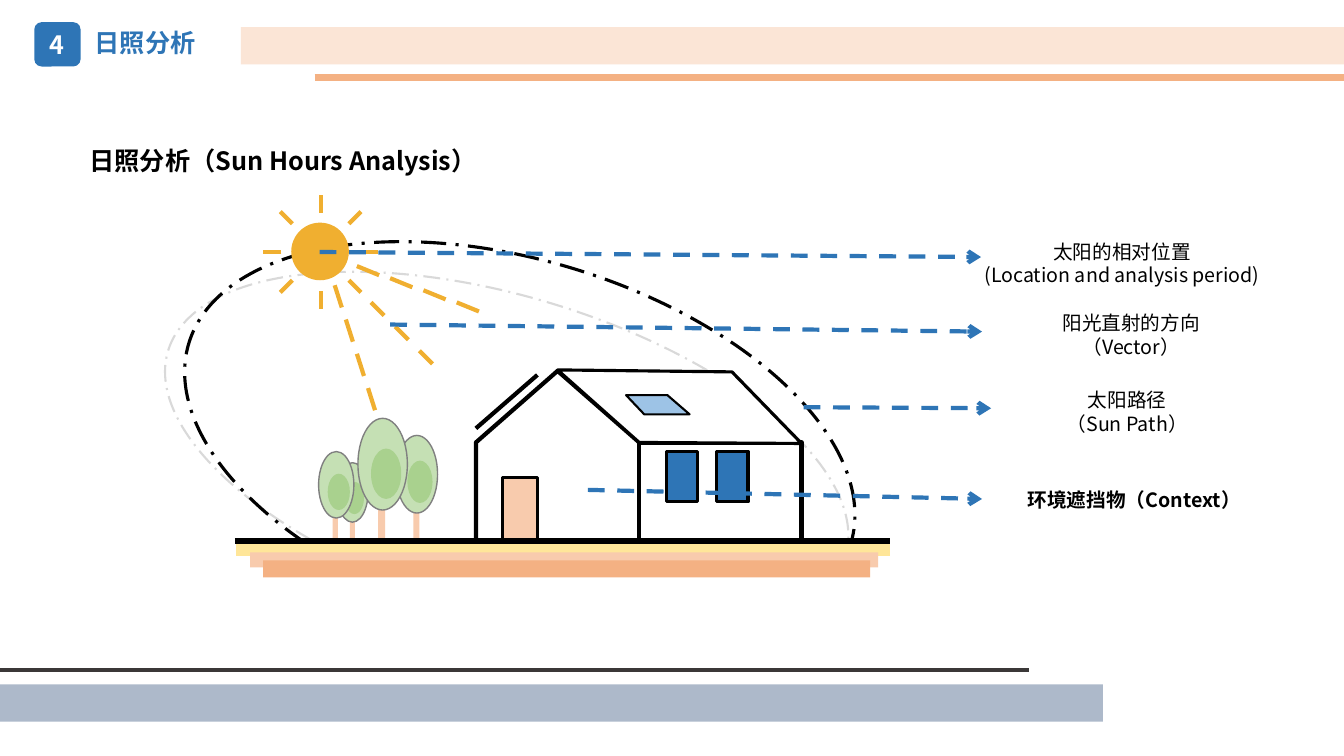
import math

from lxml import etree
from pptx import Presentation
from pptx.dml.color import RGBColor
from pptx.enum.dml import MSO_LINE
from pptx.enum.shapes import MSO_CONNECTOR, MSO_SHAPE
from pptx.enum.text import MSO_ANCHOR, MSO_AUTO_SIZE, PP_ALIGN
from pptx.oxml.ns import qn
from pptx.util import Pt

PX = 9144  # EMU per px, 100 px to the inch
SLIDE_W, SLIDE_H = 1333, 750
FONT = "Noto Sans CJK SC"
COLORS = {
    "white": "FFFFFF", "black": "000000", "blue": "2E75B6", "sky": "9DC3E6",
    "slate": "ADB9CA", "charcoal": "3B3838", "gray": "808080", "silver": "D9D9D9",
    "blush": "FBE5D6", "peach": "F8CBAD", "orange": "F4B183", "cream": "FFE699",
    "sun": "F0AF30", "leaf": "C5E0B4", "leaf_core": "A9D18E",
}
RECT, ROUNDED = MSO_SHAPE.RECTANGLE, MSO_SHAPE.ROUNDED_RECTANGLE
OVAL, CAN, CHORD = MSO_SHAPE.OVAL, MSO_SHAPE.CAN, MSO_SHAPE.CHORD
STRAIGHT = MSO_CONNECTOR.STRAIGHT
DASH, LONG_DASH_DOT = MSO_LINE.DASH, MSO_LINE.LONG_DASH_DOT
LEFT, CENTER = PP_ALIGN.LEFT, PP_ALIGN.CENTER
TOP, MIDDLE = MSO_ANCHOR.TOP, MSO_ANCHOR.MIDDLE
NO_AUTOFIT = MSO_AUTO_SIZE.NONE


def rgb(color):
    return RGBColor.from_string(COLORS[color])


def emu(*lengths):
    return [round(length * PX) for length in lengths]


def stroke(line, color, weight, dash=None):
    line.color.rgb = rgb(color)
    line.width = Pt(weight)
    if dash:
        line.dash_style = dash


def paint(shape, fill, line=None):
    """Set fill and outline; line is (color, weight[, dash])."""
    shape.shadow.inherit = False
    if fill:
        shape.fill.solid()
        shape.fill.fore_color.rgb = rgb(fill)
    else:
        shape.fill.background()
    if line:
        stroke(shape.line, *line)
    else:
        shape.line.fill.background()


def add_preset(slide, kind, box, fill, line=None):
    shape = slide.shapes.add_shape(kind, *emu(*box))
    paint(shape, fill, line)
    return shape


def add_outline(slide, points, fill, line):
    builder = slide.shapes.build_freeform(*points[0], scale=PX)
    builder.add_line_segments(points[1:], close=True)
    paint(builder.convert_to_shape(), fill, line)


def add_line(slide, start, end, color, weight, dash=None, arrow=False):
    connector = slide.shapes.add_connector(STRAIGHT, *emu(*start, *end))
    stroke(connector.line, color, weight, dash)
    properties = connector._element.spPr
    etree.SubElement(properties, qn("a:effectLst"))
    if arrow:
        etree.SubElement(properties.find(qn("a:ln")), qn("a:tailEnd"), type="arrow")


def write(shape, lines, size, color="black", bold=False, align=CENTER,
          anchor=TOP, wrap=True):
    frame = shape.text_frame
    frame.auto_size = NO_AUTOFIT
    frame.word_wrap = wrap
    frame.vertical_anchor = anchor
    for index, text in enumerate(lines):
        paragraph = frame.add_paragraph() if index else frame.paragraphs[0]
        paragraph.alignment = align
        run = paragraph.add_run()
        run.text = text
        run.font.size, run.font.bold, run.font.name = Pt(size), bold, FONT
        run.font.color.rgb = rgb(color)
        etree.SubElement(run._r.rPr, qn("a:ea"), typeface=FONT)


def draw_header(slide, box):
    x, y, w, h = box
    add_preset(slide, RECT, (x + 239, y + 27, w - 239, 37), "blush")
    add_line(slide, (x + 312, y + h), (x + w, y + h), "orange", 4.5)
    badge = add_preset(slide, ROUNDED, (x + 34, y + 22, 46, 44), "blue")
    write(badge, ["4"], 18, "white", True, anchor=MIDDLE)
    title = slide.shapes.title
    title.left, title.top, title.width, title.height = emu(x + 84, y + 22, 121, 40)
    write(title, ["日照分析"], 18, "blue", True, LEFT, MIDDLE)


def draw_footer(slide, box):
    x, y, w, h = box
    add_preset(slide, RECT, (x, y + 14, w, h - 14), "slate")
    add_line(slide, (x, y), (x + 1021, y), "charcoal", 3)


def draw_sun_path(slide, box, angles, line):
    path = add_preset(slide, CHORD, box, None, line)
    path.rotation = 106.9
    path.adjustments[0], path.adjustments[1] = angles


def draw_tree(slide, crown):
    x, y, w, h = crown
    trunk = [round(v) for v in (x + 0.41 * w, y + 0.34 * h, 0.15 * w, h)]
    core = [round(v) for v in (x + 0.27 * w, y + 0.33 * h, 0.62 * w, 0.55 * h)]
    add_preset(slide, CAN, trunk, "peach")
    add_preset(slide, OVAL, crown, "leaf", ("gray", 1))
    add_preset(slide, OVAL, core, "leaf_core")


def draw_house(slide, box):
    x, y, w, h = box
    corner, ridge, eave = x + w // 2 + 1, x + 81, y + 72
    add_outline(slide, [(ridge, y + 1), (corner, eave), (corner, y + h),
                        (x, y + h), (x, eave)], "white", ("black", 3))
    add_preset(slide, RECT, (corner, eave, x + w - corner, y + h - eave),
               "white", ("black", 3))
    add_outline(slide, [(ridge, y), (x + 254, y + 2), (x + w, y + 73), (corner, eave)],
                "white", ("black", 2.25))
    add_preset(slide, RECT, (x + 26, y + 107, 35, 63), "peach", ("black", 2.25))
    add_line(slide, (x, y + 58), (x + 61, y + 5), "black", 3)
    for window_x in (x + 189, x + 239):
        add_preset(slide, RECT, (window_x, y + 81, 31, 50), "blue", ("black", 2.25))
    add_outline(slide, [(x + 212, y + 44), (x + 167, y + 44), (x + 149, y + 25),
                        (x + 190, y + 25)], "sky", ("black", 1.5))


def draw_ground(slide, box):
    x, y, w, h = box
    add_preset(slide, RECT, (x, y, w, 15), "cream", ("white", 1))
    add_line(slide, (x, y), (x + w, y), "black", 4.5)
    add_preset(slide, RECT, (x + 15, y + 11, w - 27, 15), "peach")
    add_preset(slide, RECT, (x + 28, y + 19, w - 48, h - 19), "orange")


def draw_sun(slide, box):
    x, y, w, h = box
    center_x, center_y = x + w // 2, y + h // 2
    add_preset(slide, OVAL, (center_x - 27, center_y - 27, 53, 53), "sun", ("sun", 3))
    for turn in range(8):
        angle = turn * math.pi / 4
        inner, outer = [(center_x + round(radius * math.cos(angle)),
                         center_y + round(radius * math.sin(angle)))
                        for radius in (39, 57)]
        add_line(slide, inner, outer, "sun", 3)
    beams = [  # first dash from the center, dash, step, count
        ((14, 33), (7, 22), (11, 34), 4),
        ((50, 50), (13, 13), (24, 24), 3),
        ((36, 14), (22, 9), (33, 12), 4),
    ]
    for (first_x, first_y), (dash_x, dash_y), (step_x, step_y), count in beams:
        for i in range(count):
            start_x = center_x + first_x + i * step_x
            start_y = center_y + first_y + i * step_y
            add_line(slide, (start_x, start_y), (start_x + dash_x, start_y + dash_y),
                     "sun", 3)


def draw_scene(slide, box):
    x, y, w, h = box
    ground_y = y + h - 36
    draw_sun_path(slide, (x + 114, y - 93, 311, 702), (29.66, 160.53),
                  ("silver", 1.5, LONG_DASH_DOT))
    draw_sun_path(slide, (x + 101, y - 95, 363, 686), (28.9, 162),
                  ("black", 2.25, LONG_DASH_DOT))
    for crown in [(160, 240, 41, 77), (101, 267, 31, 59), (83, 256, 35, 66),
                  (122, 223, 49, 91)]:
        draw_tree(slide, (x + crown[0], y + crown[1], *crown[2:]))
    draw_house(slide, (x + 239, y + 175, 323, 171))
    draw_ground(slide, (x, ground_y, w, 36))
    draw_sun(slide, (x + 28, y + 1, 114, 114))


def draw_callout(slide, box, arrow, lines, bold=False):
    add_line(slide, *arrow, "blue", 3, DASH, arrow=True)
    write(slide.shapes.add_textbox(*emu(*box)), lines, 14, bold=bold)


def build_sun_hours_slide(prs):
    slide = prs.slides.add_slide(prs.slide_layouts[5])
    draw_header(slide, (0, 0, SLIDE_W, 77))
    draw_footer(slide, (0, 665, 1094, 51))
    heading = slide.shapes.add_textbox(*emu(79, 139, 416, 40))
    write(heading, ["日照分析（Sun Hours Analysis）"], 18, bold=True, align=LEFT, wrap=False)
    draw_scene(slide, (233, 192, 650, 381))
    draw_callout(slide, (921, 233, 384, 57), ((317, 250), (973, 255)),
                 ["太阳的相对位置", "(Location and analysis period)"])
    draw_callout(slide, (1000, 304, 244, 57), ((387, 322), (974, 329)),
                 ["阳光直射的方向", "（Vector）"])
    draw_callout(slide, (996, 380, 244, 57), ((797, 404), (983, 405)),
                 ["太阳路径", "（Sun Path）"])
    draw_callout(slide, (1003, 479, 244, 34), ((583, 486), (974, 495)),
                 ["环境遮挡物（Context）"], bold=True)


def main():
    prs = Presentation()
    prs.slide_width, prs.slide_height = emu(SLIDE_W, SLIDE_H)
    build_sun_hours_slide(prs)
    prs.save("out.pptx")


if __name__ == "__main__":
    main()
